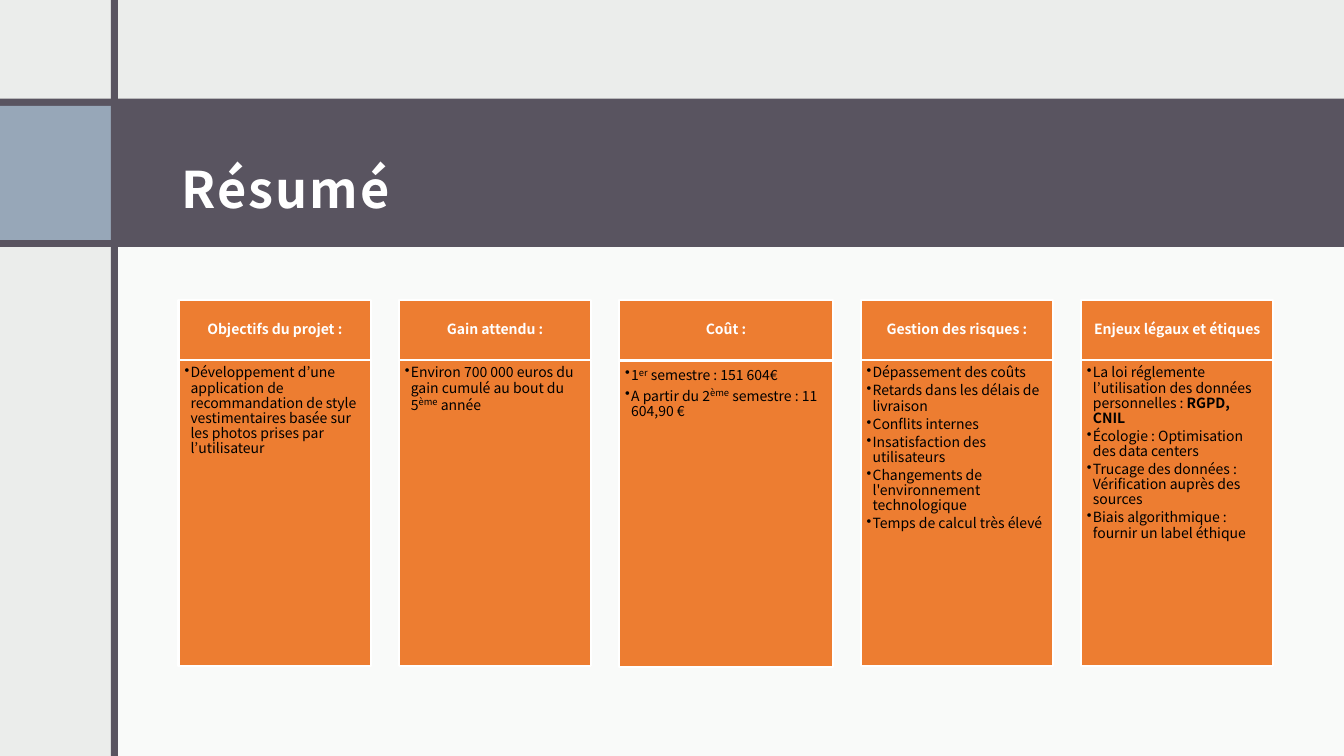
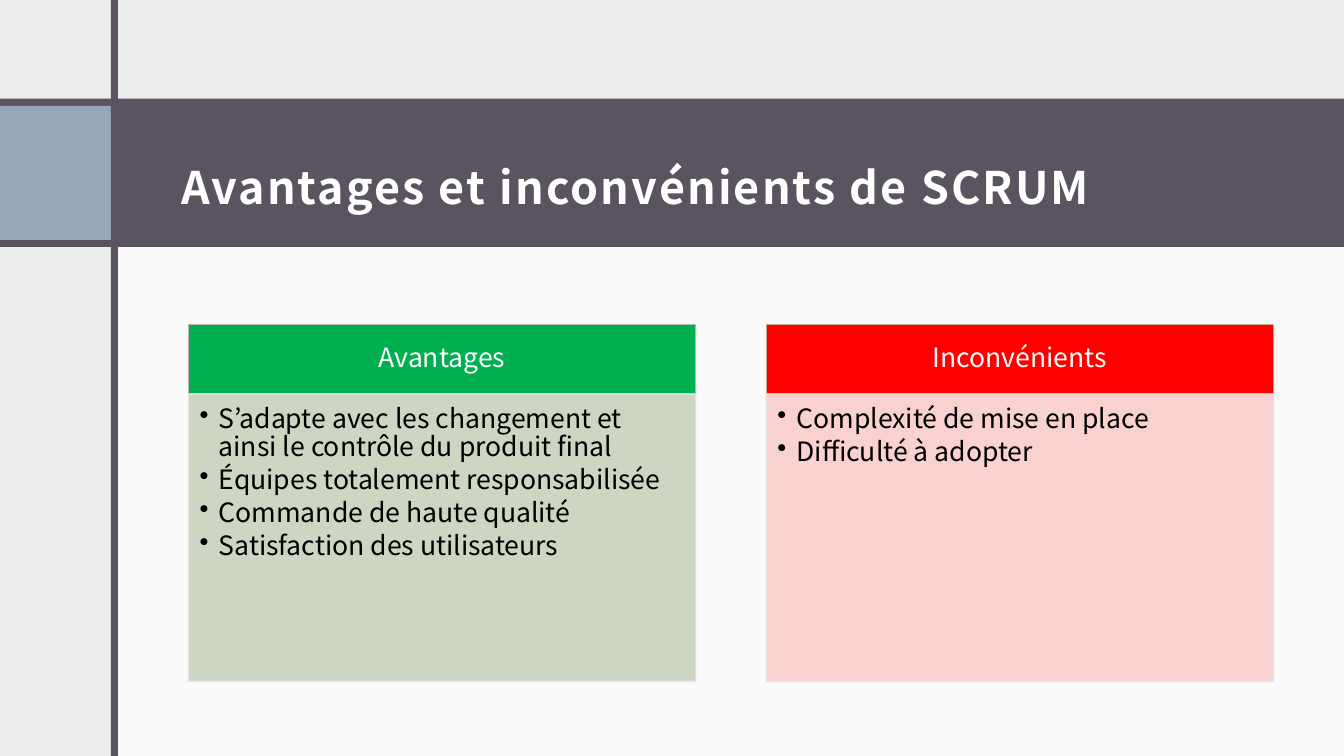
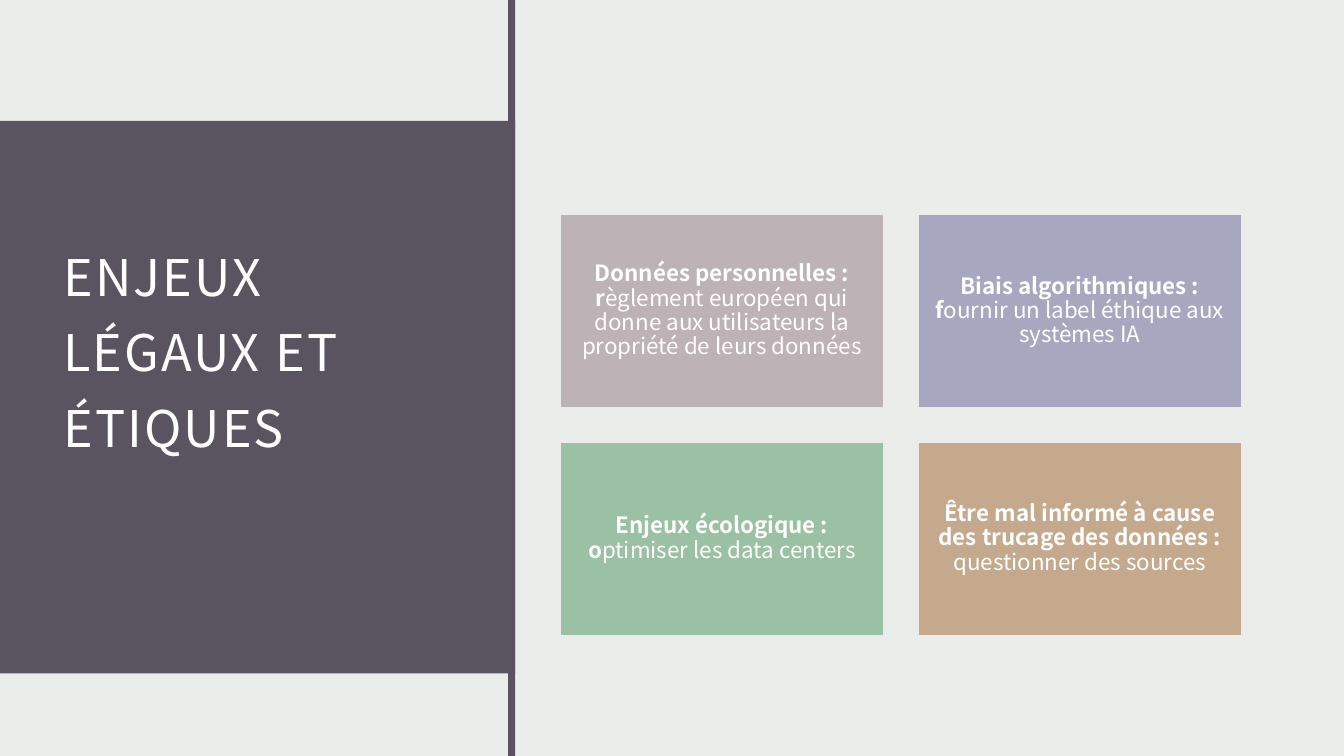
from lxml import etree
from pptx import Presentation
from pptx.dml.color import RGBColor
from pptx.enum.shapes import MSO_SHAPE
from pptx.enum.text import MSO_ANCHOR, PP_ALIGN
from pptx.oxml.ns import qn
from pptx.util import Inches, Pt

RECTANGLE = MSO_SHAPE.RECTANGLE
TOP, MIDDLE, BOTTOM = MSO_ANCHOR.TOP, MSO_ANCHOR.MIDDLE, MSO_ANCHOR.BOTTOM
LEFT, CENTER = PP_ALIGN.LEFT, PP_ALIGN.CENTER
FONT = "Noto Sans CJK JP"
WIDTH, HEIGHT = 13.33, 7.5
STRIP = 0.07
BOLD, SUPERSCRIPT = "bold", "superscript"
COLORS = {
    "background": "EBEDEB",
    "white": "FFFFFF",
    "black": "000000",
    "band": "595460",
    "accent": "97A7B8",
    "orange": "ED7D31",
    "green": "00B050",
    "light_green": "C9D3BE",
    "red": "FF0000",
    "light_red": "FACECC",
    "mauve": "BDB3B6",
    "lavender": "A7A8BF",
    "sage": "9BC1A4",
    "tan": "C5A98D",
    "pale_mauve": "E8E5E5",
    "pale_tan": "EAE2DB",
    "card_border": "EBEBEB",
}

SUMMARY_COLUMNS = [
    ("Objectifs du projet :", 1.91, 3.57, [
        ["Développement d’une application de recommandation de style vestimentaires "
         "basée sur les photos prises par l’utilisateur"],
    ]),
    ("Gain attendu :", 1.91, 3.57, [
        ["Environ 700 000 euros du gain cumulé au bout du 5", ("ème", SUPERSCRIPT), " année"],
    ]),
    ("Coût :", 2.12, 3.58, [
        ["1", ("er", SUPERSCRIPT), " semestre : 151 604€"],
        ["A partir du 2", ("ème", SUPERSCRIPT), " semestre : 11 604,90 €"],
    ]),
    ("Gestion des risques :", 1.91, 3.57, [
        ["Dépassement des coûts"],
        ["Retards dans les délais de livraison"],
        ["Conflits internes"],
        ["Insatisfaction des utilisateurs"],
        ["Changements de l'environnement technologique"],
        ["Temps de calcul très élevé"],
    ]),
    ("Enjeux légaux et étiques", 1.91, 3.57, [
        ["La loi réglemente l’utilisation des données personnelles : ", ("RGPD, CNIL", BOLD)],
        ["Écologie : Optimisation des data centers"],
        ["Trucage des données : Vérification auprès des sources"],
        ["Biais algorithmique : fournir un label éthique"],
    ]),
]

SCRUM_COLUMNS = [
    ("Avantages", "green", "mauve", "light_green", "pale_mauve", [
        ["S’adapte avec les changement et ainsi le contrôle du produit final"],
        ["Équipes totalement responsabilisée"],
        ["Commande de haute qualité"],
        ["Satisfaction des utilisateurs"],
    ]),
    ("Inconvénients", "red", "tan", "light_red", "pale_tan", [
        ["Complexité de mise en place"],
        ["Difficulté à adopter"],
    ]),
]

ISSUE_CARDS = [
    ("mauve", "Données personnelles : r",
     "èglement européen qui donne aux utilisateurs la propriété de leurs données"),
    ("lavender", "Biais algorithmiques : f", "ournir un label éthique aux systèmes IA"),
    ("sage", "Enjeux écologique : o", "ptimiser les data centers"),
    ("tan", "Être mal informé à cause des trucage des données : ", "questionner des sources"),
]


def rgb(name):
    return RGBColor.from_string(COLORS[name])


def add_block(slide, left, top, width, height, fill, border=None, border_width=1.5, opacity=100):
    shape = slide.shapes.add_shape(
        RECTANGLE, Inches(left), Inches(top), Inches(width), Inches(height))
    shape.shadow.inherit = False
    shape.fill.solid()
    shape.fill.fore_color.rgb = rgb(fill)
    if border:
        shape.line.color.rgb = rgb(border)
        shape.line.width = Pt(border_width)
    else:
        shape.line.fill.background()
    if opacity < 100:
        for color in shape._element.spPr.iter(qn("a:srgbClr")):
            etree.SubElement(color, qn("a:alpha")).set("val", str(opacity * 1000))
    return shape


def add_bullet(paragraph, indent):
    properties = paragraph._p.get_or_add_pPr()
    properties.set("marL", str(Inches(indent)))
    properties.set("indent", str(-Inches(indent)))
    bullet_color = etree.SubElement(properties, qn("a:buClr"))
    etree.SubElement(bullet_color, qn("a:srgbClr")).set("val", COLORS["black"])
    etree.SubElement(properties, qn("a:buChar")).set("char", "•")


def add_run(paragraph, piece, size, color):
    text, style = (piece, None) if isinstance(piece, str) else piece
    run = paragraph.add_run()
    run.text = text
    font = run.font
    font.name = FONT
    font.size = Pt(size)
    font.color.rgb = rgb(color)
    font.bold = style == BOLD
    if style == SUPERSCRIPT:
        font.size = Pt(size * 1.16)
        run._r.get_or_add_rPr().set("baseline", "30000")


def write_text(shape, paragraphs, size, color="white", margins=(0.07, 0.07, 0.07, 0.07),
               anchor=MIDDLE, align=CENTER, line_spacing=0.9, space_after=0, indent=None):
    frame = shape.text_frame
    frame.word_wrap = True
    frame.vertical_anchor = anchor
    frame.margin_left, frame.margin_top, frame.margin_right, frame.margin_bottom = map(
        Inches, margins)
    for index, pieces in enumerate(paragraphs):
        paragraph = frame.add_paragraph() if index else frame.paragraphs[0]
        if indent:
            add_bullet(paragraph, indent)
        paragraph.alignment = align
        paragraph.line_spacing = line_spacing
        paragraph.space_after = Pt(space_after)
        for piece in pieces:
            add_run(paragraph, piece, size, color)


def add_title(slide, text, left, top, width, height, size, anchor, line_spacing, style=None):
    title = slide.shapes.add_textbox(Inches(left), Inches(top), Inches(width), Inches(height))
    write_text(title, [[(text, style)]], size, margins=(0.12, 0.12, 0.12, 0.1),
               anchor=anchor, align=LEFT, line_spacing=line_spacing)
    title.text_frame.paragraphs[0].runs[0]._r.get_or_add_rPr().set("spc", "150")


def add_slide(presentation):
    slide = presentation.slides.add_slide(presentation.slide_layouts[6])
    slide.background.fill.solid()
    slide.background.fill.fore_color.rgb = rgb("background")
    return slide


def add_band_slide(presentation, title, size):
    slide = add_slide(presentation)
    add_block(slide, 1.14, 2.33, WIDTH - 1.14, HEIGHT - 2.33, "white", opacity=75)
    add_block(slide, 0, 0.98, WIDTH, 1.47, "band")
    add_title(slide, title, 1.68, 1.14, 10.95, 1.13, size, MIDDLE, 1.5, BOLD)
    add_block(slide, 0, 1.05, 1.1, 1.33, "accent")
    add_block(slide, 1.1, 0, STRIP, HEIGHT, "band")
    return slide


def build_summary(presentation):
    slide = add_band_slide(presentation, "Résumé", 36)
    left, right = 1.77, 12.63
    used = sum(column[1] for column in SUMMARY_COLUMNS)
    gap = (right - left - used) / (len(SUMMARY_COLUMNS) - 1)
    for heading, width, body_top, items in SUMMARY_COLUMNS:
        header = add_block(slide, left, 2.98, width, 0.59, "orange", "white")
        write_text(header, [[(heading, BOLD)]], 10, margins=(0.08, 0.04, 0.08, 0.04))
        body = add_block(slide, left, body_top, width, 3.04, "orange", "white")
        write_text(body, items, 10, "black", (0.06, 0.06, 0.08, 0.09), TOP, LEFT,
                   space_after=2, indent=0.06)
        left += width + gap


def build_scrum(presentation):
    slide = add_band_slide(presentation, "Avantages et inconvénients de SCRUM", 32)
    width, gap = 5.03, 0.7
    for index, column in enumerate(SCRUM_COLUMNS):
        heading, header_fill, header_border, body_fill, body_border, items = column
        left = 1.87 + index * (width + gap)
        header = add_block(slide, left, 3.22, width, 0.69, header_fill, header_border, 1)
        write_text(header, [[heading]], 19, margins=(0.15, 0.08, 0.15, 0.08))
        body = add_block(slide, left, 3.91, width, 2.85, body_fill, body_border, 1, 90)
        write_text(body, items, 19, "black", (0.11, 0.11, 0.15, 0.17), TOP, LEFT,
                   space_after=3, indent=0.19)


def build_issues(presentation):
    slide = add_slide(presentation)
    add_block(slide, 0, 1.2, 5.11, 5.48, "band")
    add_title(slide, "ENJEUX LÉGAUX ET ÉTIQUES", 0.51, 1.87, 4.11, 2.77, 36, BOTTOM, 1.25)
    add_block(slide, 5.04, 0, STRIP, HEIGHT, "band")
    width, height, gap = 3.22, 1.93, 0.33
    for index, (fill, lead, rest) in enumerate(ISSUE_CARDS):
        row, column = divmod(index, 2)
        card = add_block(slide, 5.55 + column * (width + gap), 2.12 + row * (height + gap),
                         width, height, fill, "card_border")
        write_text(card, [[(lead, BOLD), rest]], 16, space_after=7)


def main():
    presentation = Presentation()
    presentation.slide_width = Inches(WIDTH)
    presentation.slide_height = Inches(HEIGHT)
    build_summary(presentation)
    build_scrum(presentation)
    build_issues(presentation)
    presentation.save("out.pptx")


if __name__ == "__main__":
    main()
